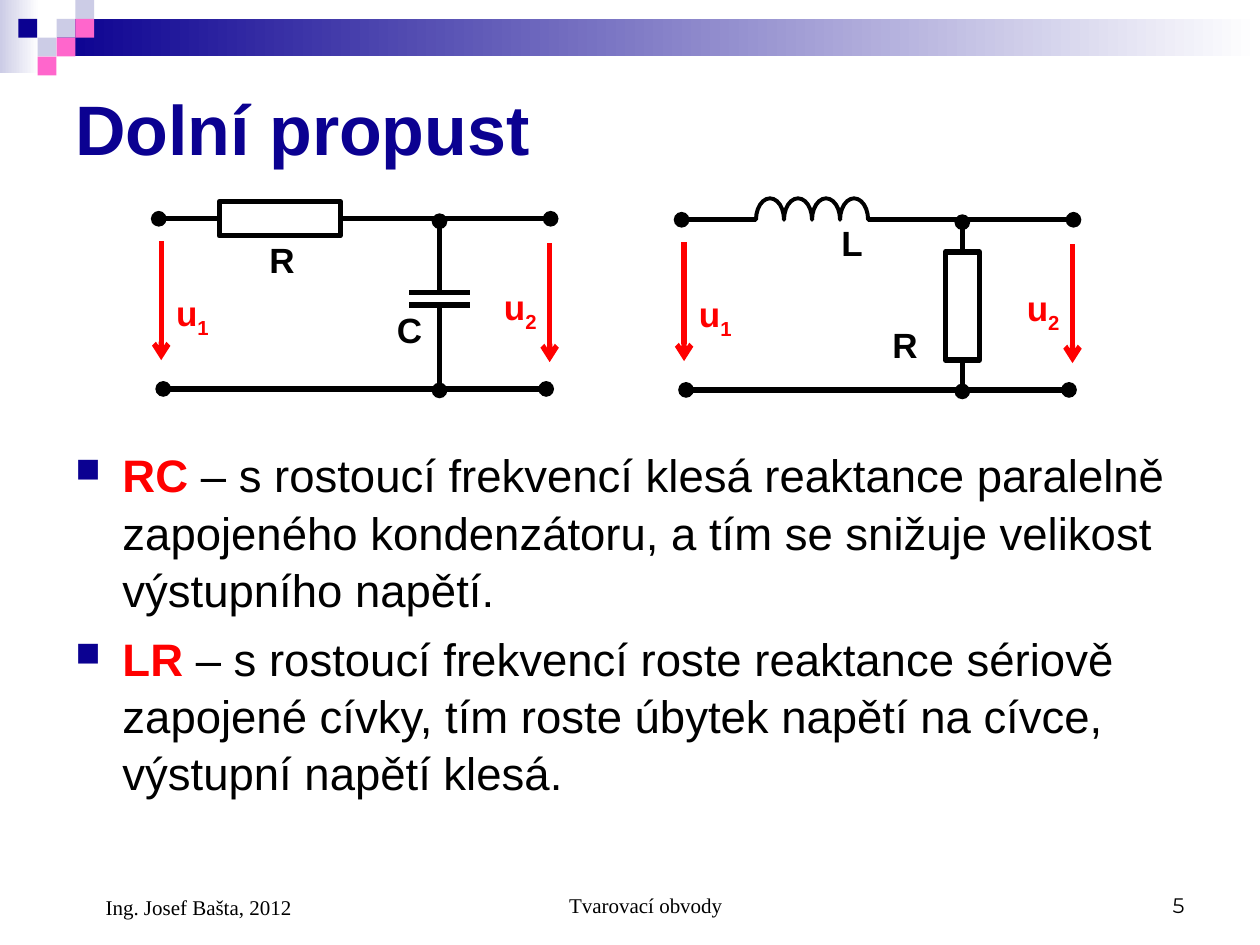
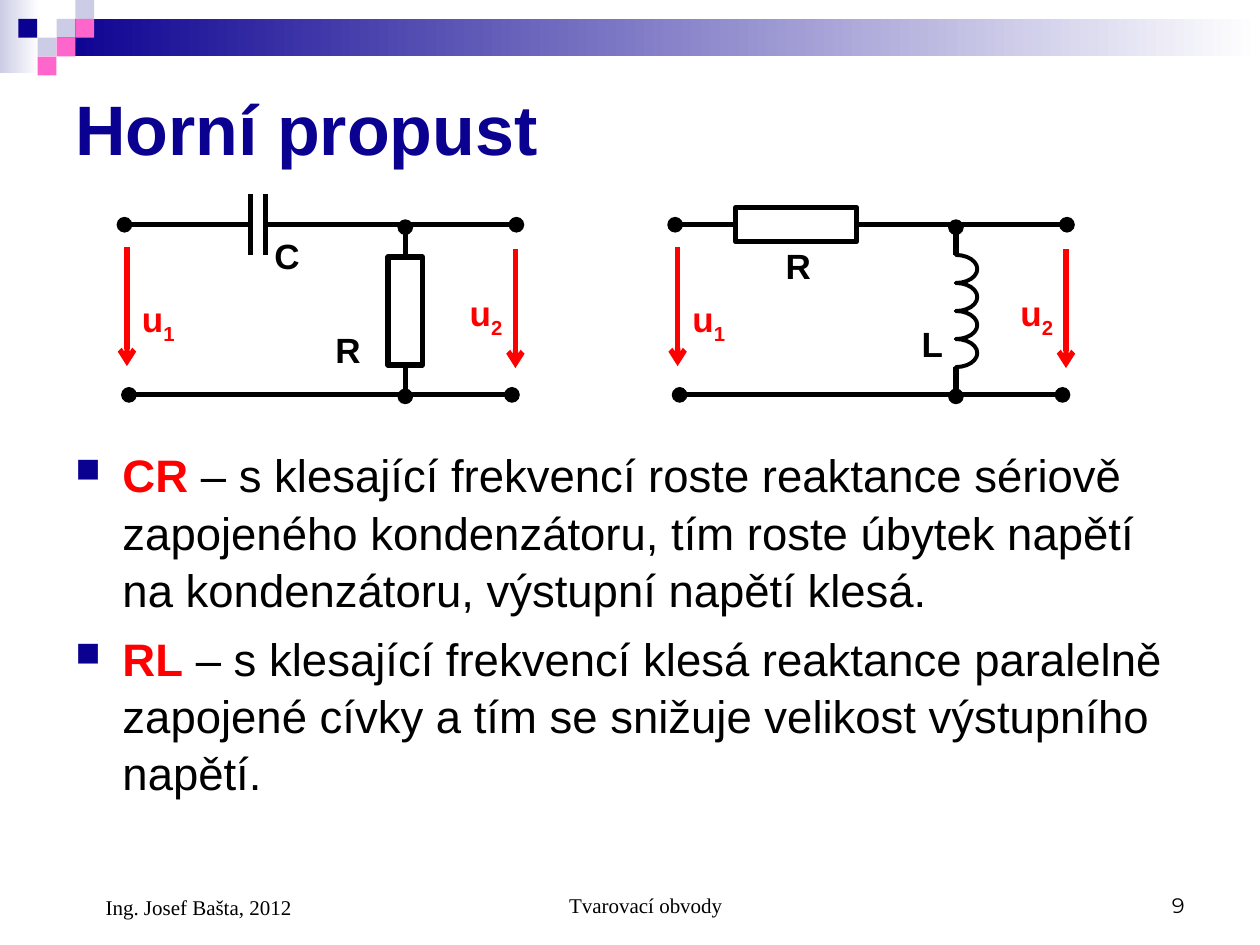
from dataclasses import dataclass

from lxml.etree import SubElement
from pptx import Presentation
from pptx.dml.color import RGBColor
from pptx.enum.shapes import MSO_CONNECTOR, MSO_SHAPE
from pptx.enum.text import MSO_ANCHOR, PP_ALIGN
from pptx.oxml.ns import qn
from pptx.shapes.autoshape import Shape
from pptx.slide import Slide
from pptx.text.text import _Paragraph as Paragraph
from pptx.util import Cm, Pt

NAVY = "0B0191"
LAVENDER = "CCCCE6"
PINK = "FF66CC"
WHITE = "FFFFFF"
BLACK = "000000"
RED = "FF0000"
COIL_FILL = "CBBDFF"

SQUARE = 0.38
BRANCH = 5.66
RIGHT_END = 7.9
BRANCH_TOP = 0.05
BRANCH_BOTTOM = 3.46
RAIL = 3.43
COIL_TURNS = 4


@dataclass(frozen=True)
class Tile:
    x: float
    y: float
    colour: str


@dataclass(frozen=True)
class Part:
    kind: str
    start: float
    end: float
    label_x: float
    label_y: float


@dataclass(frozen=True)
class Circuit:
    x: float
    y: float
    series: Part
    shunt: Part


@dataclass(frozen=True)
class Voltage:
    index: str
    arrow_x: float
    arrow_top: float
    label_x: float
    label_y: float


@dataclass(frozen=True)
class Footer:
    text: str
    x: float
    width: float
    height: float
    align: PP_ALIGN
    font: str
    indent: float


@dataclass(frozen=True)
class Topic:
    title: str
    number: str
    circuits: tuple[Circuit, ...]
    points: tuple[tuple[str, str], ...]


TILES = (
    Tile(1.14, 0.38, LAVENDER),
    Tile(1.52, 0, LAVENDER),
    Tile(1.52, 0.38, PINK),
    Tile(0.76, 0.76, LAVENDER),
    Tile(0.37, 0.38, NAVY),
    Tile(1.14, 0.76, PINK),
    Tile(0.76, 1.14, PINK),
)
VOLTAGES = (
    Voltage("1", 0.05, 0.45, 0.1, 1.35),
    Voltage("2", 7.88, 0.49, 6.71, 1.23),
)
SERIES_R = Part("R", 1.22, 3.66, 1.98, 0.27)
SERIES_L = Part("L", 1.5, 3.76, 2.97, -0.08)
SERIES_C = Part("C", 2.54, 2.85, 2.77, 0.08)
SHUNT_R = Part("R", 0.65, 2.83, 4, 1.96)
SHUNT_L = Part("L", 0.61, 2.87, 4.72, 1.85)
SHUNT_C = Part("C", 1.48, 1.74, 4.55, 1.68)

TOPICS = (
    Topic(
        "Dolní propust",
        "5",
        (Circuit(3.2, 4.41, SERIES_R, SHUNT_C), Circuit(13.74, 4.43, SERIES_L, SHUNT_R)),
        (
            ("RC", " – s rostoucí frekvencí klesá reaktance paralelně zapojeného "
                   "kondenzátoru, a tím se snižuje velikost výstupního napětí."),
            ("LR", " – s rostoucí frekvencí roste reaktance sériově zapojené cívky, "
                   "tím roste úbytek napětí na cívce, výstupní napětí klesá."),
        ),
    ),
    Topic(
        "Horní propust",
        "9",
        (Circuit(13.61, 4.53, SERIES_R, SHUNT_L), Circuit(2.51, 4.53, SERIES_C, SHUNT_R)),
        (
            ("CR", " – s klesající frekvencí roste reaktance sériově zapojeného "
                   "kondenzátoru, tím roste úbytek napětí na kondenzátoru, "
                   "výstupní napětí klesá."),
            ("RL", " – s klesající frekvencí klesá reaktance paralelně zapojené cívky "
                   "a tím se snižuje velikost výstupního napětí."),
        ),
    ),
)


def colour(value: str) -> RGBColor:
    return RGBColor.from_string(value)


def add_block(page: Slide, x: float, y: float, width: float, height: float,
              fill: str | None = None, outline: float = 0,
              preset: MSO_SHAPE = MSO_SHAPE.RECTANGLE) -> Shape:
    block = page.shapes.add_shape(preset, Cm(x), Cm(y), Cm(width), Cm(height))
    block.shadow.inherit = False
    if fill:
        block.fill.solid()
        block.fill.fore_color.rgb = colour(fill)
    else:
        block.fill.background()
    if outline:
        block.line.color.rgb = colour(BLACK)
        block.line.width = Pt(outline)
    else:
        block.line.fill.background()
    return block


def add_fade(page: Slide, x: float, y: float, width: float, height: float, start: str) -> None:
    band = add_block(page, x, y, width, height)
    band.fill.gradient()
    band.fill.gradient_angle = 0
    for stop, value in zip(band.fill.gradient_stops, (start, WHITE)):
        stop.color.rgb = colour(value)


def add_wire(page: Slide, start: tuple[float, float], end: tuple[float, float],
             head: str = "", tail: str = "", value: str = BLACK) -> None:
    wire = page.shapes.add_connector(MSO_CONNECTOR.STRAIGHT, *map(Cm, start + end))
    wire.line.color.rgb = colour(value)
    wire.line.width = Pt(3)
    properties = wire.element.spPr
    outline = properties.find(qn("a:ln"))
    for tag, ending in (("a:headEnd", head), ("a:tailEnd", tail)):
        if ending:
            SubElement(outline, qn(tag)).set("type", ending)
    SubElement(properties, qn("a:effectLst"))


def add_box(page: Slide, x: float, y: float, width: float, height: float,
            anchor: MSO_ANCHOR = MSO_ANCHOR.TOP) -> Shape:
    box = page.shapes.add_textbox(Cm(x), Cm(y), Cm(width), Cm(height))
    box.text_frame.word_wrap = True
    box.text_frame.vertical_anchor = anchor
    return box


def set_font(para: Paragraph, name: str, size: float, value: str = BLACK,
             bold: bool = False) -> None:
    para.font.name = name
    para.font.size = Pt(size)
    para.font.color.rgb = colour(value)
    para.font.bold = bold


def add_label(page: Slide, x: float, y: float, text: str, value: str = BLACK,
              index: str = "") -> None:
    box = add_box(page, x, y, 1.4 if index else 1.17, 1.22 if index else 1.12)
    para = box.text_frame.paragraphs[0]
    set_font(para, "Arial", 20, value, True)
    para.add_run().text = text
    if index:
        span = para.add_run()
        span.text = index
        span.font._element.set("baseline", "-25000")


def draw_part(page: Slide, part: Part, x: float, y: float, vertical: bool) -> None:
    def place(along: float, across: float) -> tuple[float, float]:
        return (x + across, y + along) if vertical else (x + along, y + across)

    length = part.end - part.start
    if part.kind == "R":
        size = (0.69, length) if vertical else (length, 0.69)
        add_block(page, *place(part.start, -0.345), *size, outline=3)
    elif part.kind == "C":
        for plate in (part.start, part.end):
            add_wire(page, place(plate, -0.61), place(plate, 0.61))
    else:
        pitch = length / COIL_TURNS
        for turn in range(COIL_TURNS):
            centre_x, centre_y = place(part.start + (turn + 0.5) * pitch, 0)
            arc = add_block(page, centre_x - pitch / 2, centre_y - 0.43, pitch, 0.86,
                            COIL_FILL, 2.25, MSO_SHAPE.BLOCK_ARC)
            for position, setting in enumerate((107.89, 0.11, 0)):
                arc.adjustments[position] = setting
            arc.rotation = 90 if vertical else 0

    first, last = (BRANCH_TOP, BRANCH_BOTTOM) if vertical else (0, RIGHT_END)
    add_wire(page, place(part.start, 0), place(first, 0), tail="oval")
    add_wire(page, place(last, 0), place(part.end, 0), head="oval")


def draw_circuit(page: Slide, circuit: Circuit) -> None:
    x, y = circuit.x, circuit.y
    draw_part(page, circuit.series, x, y, False)
    draw_part(page, circuit.shunt, x + BRANCH, y, True)
    add_wire(page, (x + 7.81, y + RAIL), (x + 0.09, y + RAIL), "oval", "oval")
    for part in (circuit.series, circuit.shunt):
        add_label(page, x + part.label_x, y + part.label_y, part.kind)
    for voltage in VOLTAGES:
        arrow_x, arrow_top = x + voltage.arrow_x, y + voltage.arrow_top
        add_wire(page, (arrow_x, arrow_top), (arrow_x, arrow_top + 2.4),
                 tail="arrow", value=RED)
        add_label(page, x + voltage.label_x, y + voltage.label_y, "u", RED, voltage.index)


def draw_frame(page: Slide, topic: Topic) -> None:
    add_fade(page, 0, 0, 0.79, 1.47, LAVENDER)
    add_fade(page, 1.14, 0.38, 24.26, 0.76, NAVY)
    for tile in TILES:
        add_block(page, tile.x, tile.y, SQUARE, SQUARE, tile.colour)

    title = add_box(page, 1.27, 1.27, 22.86, 2.62, MSO_ANCHOR.MIDDLE)
    para = title.text_frame.paragraphs[0]
    para.text = topic.title
    set_font(para, "Arial", 40, NAVY, True)

    footers = (
        Footer("Tvarovací obvody", 8.69, 8.05, 1.27, PP_ALIGN.CENTER, "Times New Roman", 0.61),
        Footer(topic.number, 18.21, 5.92, 1.27, PP_ALIGN.RIGHT, "Montserrat", 0),
        Footer("Ing. Josef Bašta, 2012", 1.27, 5.92, 1.32, PP_ALIGN.LEFT,
               "Times New Roman", 0.61),
    )
    for footer in footers:
        box = add_box(page, footer.x, 17.35, footer.width, footer.height, MSO_ANCHOR.BOTTOM)
        para = box.text_frame.paragraphs[0]
        para.text = footer.text
        para.alignment = footer.align
        para._p.get_or_add_pPr().set("marL", str(Cm(footer.indent)))
        set_font(para, footer.font, 12)


def add_bullet(para: Paragraph) -> None:
    properties = para._p.get_or_add_pPr()
    properties.set("marL", str(Cm(0.95)))
    properties.set("indent", str(Cm(-0.95)))
    bullet_colour = SubElement(properties, qn("a:buClr"))
    SubElement(bullet_colour, qn("a:srgbClr")).set("val", NAVY)
    SubElement(properties, qn("a:buSzPct")).set("val", "75000")
    SubElement(properties, qn("a:buChar")).set("char", "■")


def draw_points(page: Slide, points: tuple[tuple[str, str], ...]) -> None:
    frame = add_box(page, 1.27, 8.84, 22.86, 7.95).text_frame
    for position, (term, explanation) in enumerate(points):
        para = frame.add_paragraph() if position else frame.paragraphs[0]
        add_bullet(para)
        para.line_spacing = 1.05
        if position:
            para.space_before = Pt(6.5)
        set_font(para, "Arial", 26)
        span = para.add_run()
        span.text = term
        span.font.bold = True
        span.font.color.rgb = colour(RED)
        para.add_run().text = explanation


def main() -> None:
    deck = Presentation()
    deck.slide_width, deck.slide_height = Cm(25.4), Cm(19.05)
    for topic in TOPICS:
        page = deck.slides.add_slide(deck.slide_layouts[6])
        draw_frame(page, topic)
        draw_points(page, topic.points)
        for circuit in topic.circuits:
            draw_circuit(page, circuit)
    deck.save("out.pptx")


if __name__ == "__main__":
    main()
